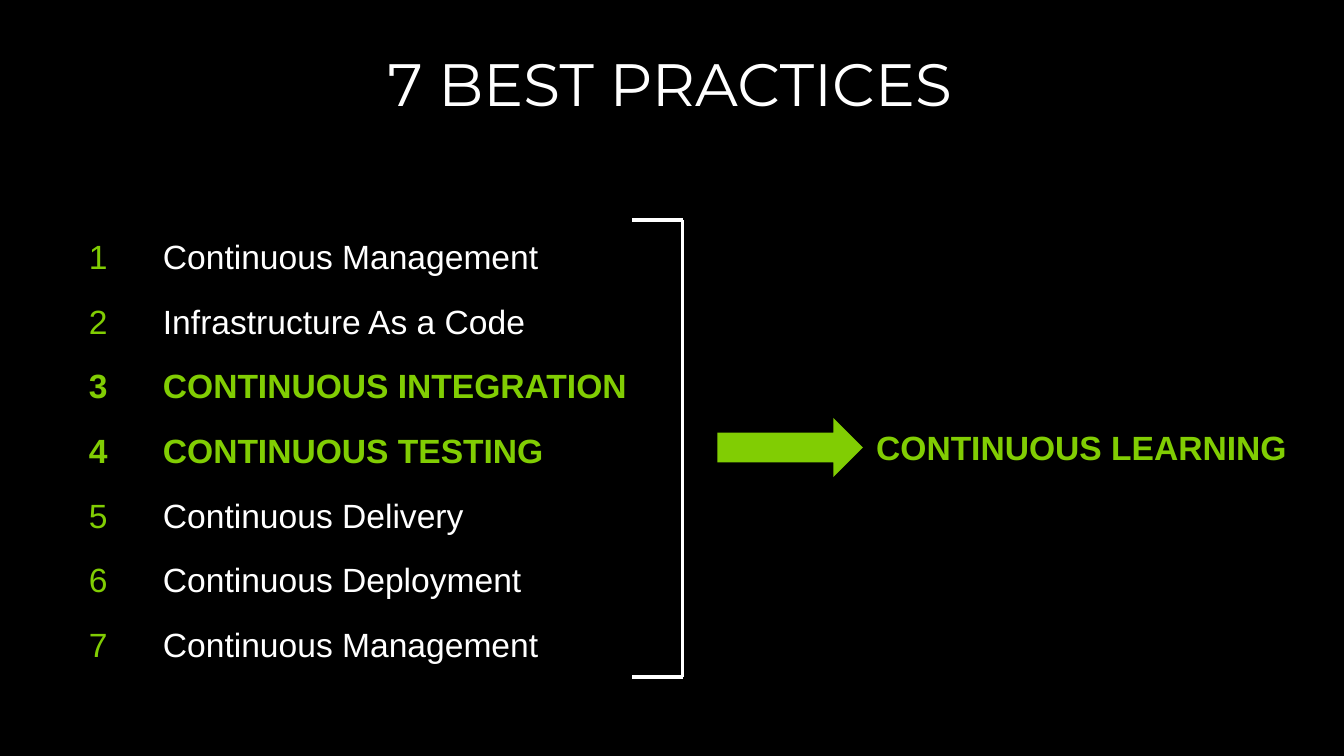
from lxml import etree
from pptx import Presentation
from pptx.dml.color import RGBColor
from pptx.enum.shapes import MSO_CONNECTOR, MSO_SHAPE
from pptx.enum.text import MSO_ANCHOR, MSO_AUTO_SIZE, PP_ALIGN
from pptx.oxml.ns import qn
from pptx.util import Cm, Pt

LINE = MSO_CONNECTOR.STRAIGHT
ARROW = MSO_SHAPE.RIGHT_ARROW
TOP = MSO_ANCHOR.TOP
NO_FIT, GROW = MSO_AUTO_SIZE.NONE, MSO_AUTO_SIZE.SHAPE_TO_FIT_TEXT
CENTER = PP_ALIGN.CENTER


def color(code):
    return RGBColor.from_string(code)


class Deck:
    black, white, green = "000000", "FFFFFF", "81CD03"
    head, body = "Montserrat", "Arial"
    size, indent = 18, Cm(1.4)

    def __init__(self, wide, high):
        self.prs = Presentation()
        self.prs.slide_width, self.prs.slide_height = Cm(wide), Cm(high)
        self.slide = None

    def page(self):
        self.slide = self.prs.slides.add_slide(self.prs.slide_layouts[5])
        fill = self.slide.background.fill
        fill.solid()
        fill.fore_color.rgb = color(self.black)

    def run(self, para, text, shade, bold=False, font=body, size=size):
        run = para.add_run()
        run.text = text
        run.font.name, run.font.size, run.font.bold = font, Pt(size), bold
        run.font.color.rgb = color(shade)

    def bare(self, frame):
        frame.margin_left = frame.margin_right = 0
        frame.margin_top = frame.margin_bottom = 0
        frame.vertical_anchor = TOP
        frame.auto_size = NO_FIT
        frame.word_wrap = True

    def title(self, text, x, y, w, h):
        box = self.slide.shapes.title
        box.left, box.top, box.width, box.height = Cm(x), Cm(y), Cm(w), Cm(h)
        self.bare(box.text_frame)
        para = box.text_frame.paragraphs[0]
        para.alignment, para.line_spacing = CENTER, 0.8
        self.run(para, text, self.white, font=self.head, size=32)

    def number(self, para):
        props = para._p.get_or_add_pPr()
        props.set("marL", str(self.indent))
        props.set("indent", str(-self.indent))
        shade = etree.SubElement(props, qn("a:buClr"))
        etree.SubElement(shade, qn("a:srgbClr"), val=self.green)
        etree.SubElement(props, qn("a:buAutoNum"), type="arabicPlain")

    def steps(self, items, x, y, w, h):
        box = self.slide.shapes.add_textbox(Cm(x), Cm(y), Cm(w), Cm(h))
        frame = box.text_frame
        self.bare(frame)
        for i, (text, key) in enumerate(items):
            para = frame.add_paragraph() if i else frame.paragraphs[0]
            self.number(para)
            para.line_spacing = 1.05
            if i:
                para.space_before = Pt(12)
            self.run(para, text, self.green if key else self.white, key)

    def label(self, text, x, y, w, h):
        box = self.slide.shapes.add_textbox(Cm(x), Cm(y), Cm(w), Cm(h))
        frame = box.text_frame
        frame.word_wrap, frame.auto_size = True, GROW
        self.run(frame.paragraphs[0], text, self.green, True)

    def line(self, x1, y1, x2, y2):
        line = self.slide.shapes.add_connector(
            LINE, Cm(x1), Cm(y1), Cm(x2), Cm(y2))
        line.line.color.rgb = color(self.white)
        line.line.width = Pt(2)
        etree.SubElement(line._element.spPr, qn("a:effectLst"))

    def arrow(self, x, y, w, h):
        shape = self.slide.shapes.add_shape(ARROW, Cm(x), Cm(y), Cm(w), Cm(h))
        shape.shadow.inherit = False
        shape.fill.solid()
        shape.fill.fore_color.rgb = color(self.green)
        shape.line.fill.background()


def main():
    deck = Deck(25.4, 14.29)
    deck.page()
    deck.title("7 BEST PRACTICES", 1.6, 1.14, 22.12, 0.74)

    # Numbered practices, the key ones in green
    deck.steps([
        ("Continuous Management", False),
        ("Infrastructure As a Code", False),
        ("CONTINUOUS INTEGRATION", True),
        ("CONTINUOUS TESTING", True),
        ("Continuous Delivery", False),
        ("Continuous Deployment", False),
        ("Continuous Management", False),
    ], 1.68, 4.42, 10.95, 8.1)

    # Bracket around the list
    left, right, top, low = 11.95, 12.9, 4.16, 12.8
    deck.line(left, top, right, top)
    deck.line(right, top, right, low)
    deck.line(left, low, right, low)

    # Outcome
    deck.arrow(13.56, 7.9, 2.75, 1.12)
    deck.label("CONTINUOUS LEARNING", 16.31, 7.95, 8.43, 1.02)
    deck.prs.save("out.pptx")


if __name__ == "__main__":
    main()
